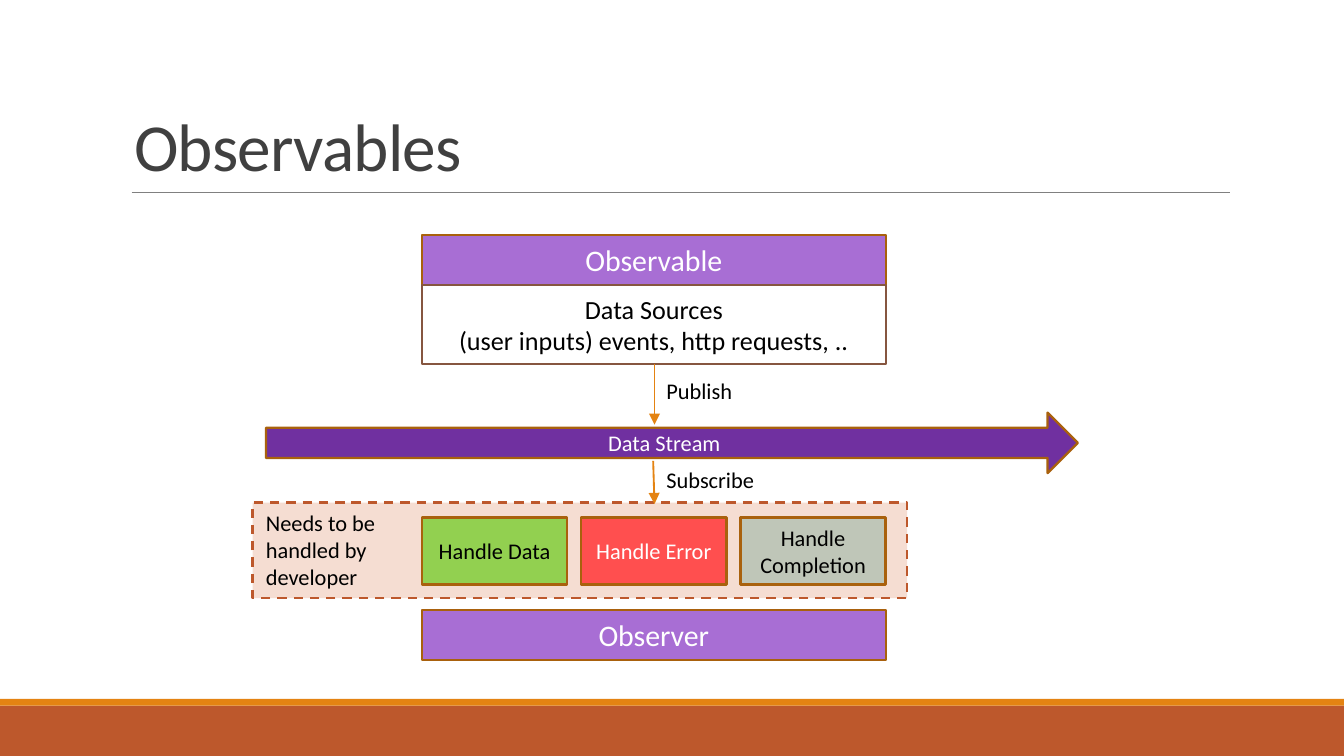
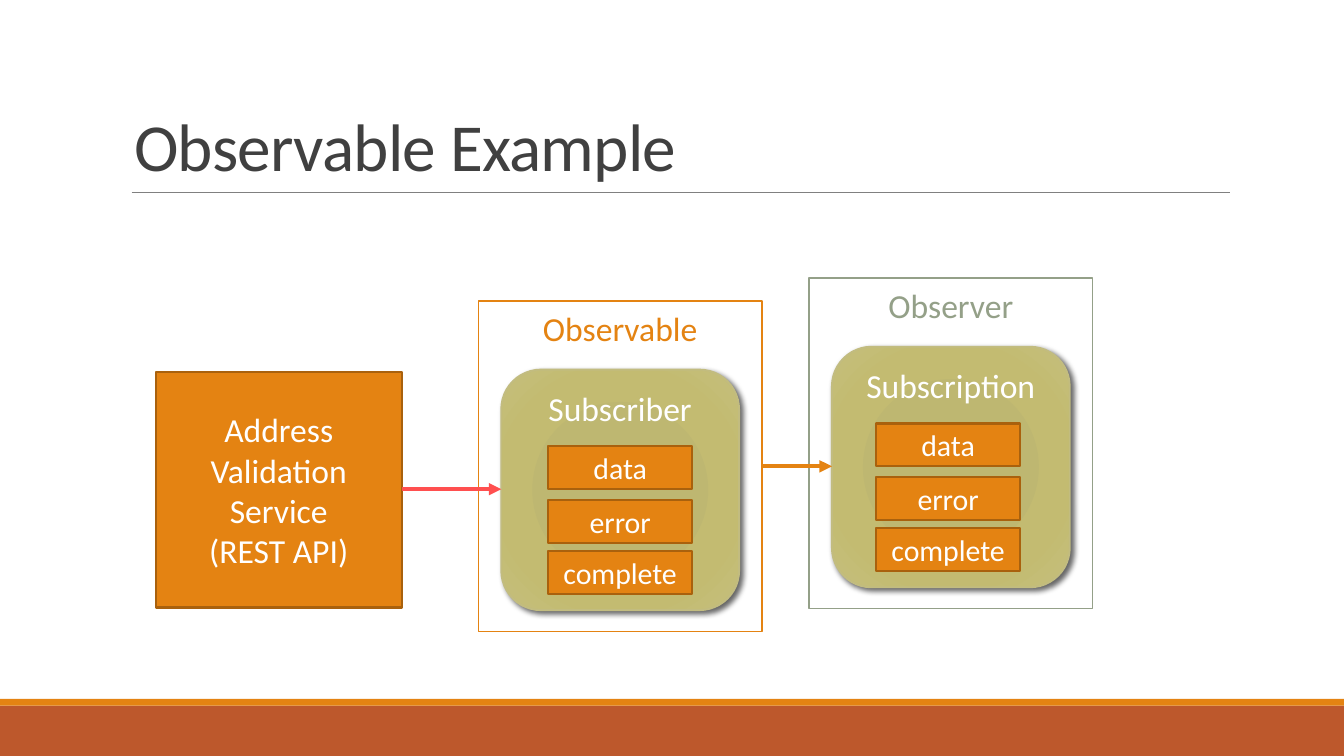
"""Build two slides that explain observables."""
import dataclasses
import pptx
import pptx.util
import pptx.dml.color
import pptx.enum.dml
import pptx.enum.shapes
import pptx.enum.text
import pptx.oxml
import pptx.oxml.ns

Inches, Pt = pptx.util.Inches, pptx.util.Pt
RGB = pptx.dml.color.RGBColor.from_string
Kind = pptx.enum.shapes.MSO_SHAPE
Dash = pptx.enum.dml.MSO_LINE
Anchor = pptx.enum.text.MSO_ANCHOR
Align = pptx.enum.text.PP_ALIGN
Fit = pptx.enum.text.MSO_AUTO_SIZE
qn = pptx.oxml.ns.qn
NS = pptx.oxml.ns.nsdecls("a")


@dataclasses.dataclass(frozen=True)
class Theme:
    font: str = "Calibri"
    white: str = "FFFFFF"
    black: str = "000000"
    ink: str = "404040"
    rule: str = "808080"
    rust: str = "BD582C"
    orange: str = "E48312"
    edge: str = "A9610D"
    brown: str = "865640"
    peach: str = "F5DDD2"
    lilac: str = "A86ED4"
    purple: str = "7030A0"
    green: str = "92D050"
    red: str = "FF4F4F"
    gray: str = "BFC6B8"
    sage: str = "94A088"
    olive: str = "C2BC80"
    glow: tuple = ((0, "BEB76E"), (34, "BEB771"), (70, "C3BB71"), (100, "C5BF7D"))
    title: int = 36
    large: int = 18
    head: int = 16
    body: int = 14
    small: int = 12


T = Theme()


def box(slide, text, x, y, w, h, kind=Kind.RECTANGLE, fill=None, edge=None, width=1.25,
        size=T.small, color=T.white, anchor=Anchor.MIDDLE, align=Align.CENTER, wrap=True):
    place = [Inches(v) for v in (x, y, w, h)]
    if kind is None:
        shape = slide.shapes.add_textbox(*place)
    else:
        shape = slide.shapes.add_shape(kind, *place)
        shape.shadow.inherit = False
        if fill:
            shape.fill.solid()
            shape.fill.fore_color.rgb = RGB(fill)
        else:
            shape.fill.background()
        if edge:
            shape.line.color.rgb = RGB(edge)
            shape.line.width = Pt(width)
        else:
            shape.line.fill.background()
    frame = shape.text_frame
    frame.word_wrap = wrap
    frame.vertical_anchor = anchor
    if not wrap:
        frame.auto_size = Fit.SHAPE_TO_FIT_TEXT
    frame.text = text
    for para in frame.paragraphs:
        para.alignment = align
        for run in para.runs:
            run.font.name = T.font
            run.font.size = Pt(size)
            run.font.color.rgb = RGB(color)
    return shape


def link(slide, x1, y1, x2, y2, color, width, arrow=True):
    line = slide.shapes.add_connector(
        pptx.enum.shapes.MSO_CONNECTOR.STRAIGHT, *[Inches(v) for v in (x1, y1, x2, y2)])
    line.line.color.rgb = RGB(color)
    line.line.width = Pt(width)
    if arrow:
        line.line._get_or_add_ln().append(
            pptx.oxml.parse_xml(f'<a:tailEnd {NS} type="triangle"/>'))
    line._element.spPr.append(pptx.oxml.parse_xml(f"<a:effectLst {NS}/>"))


deck = pptx.Presentation()
deck.slide_width, deck.slide_height = Inches(10), Inches(5.625)

for name in ("Observables", "Observable Example"):
    slide = deck.slides.add_slide(deck.slide_layouts[6])
    box(slide, "", 0, 5.25, 10, 0.38, fill=T.rust)
    box(slide, "", 0, 5.2, 10, 0.05, fill=T.orange)
    link(slide, 0.98, 1.43, 9.15, 1.43, T.rule, 0.5, arrow=False)
    title = box(slide, name, 0.9, 0.24, 8.25, 1.19, kind=None, size=T.title,
                color=T.ink, anchor=Anchor.BOTTOM, align=Align.LEFT)
    para = title.text_frame.paragraphs[0]
    para.line_spacing = 0.85
    para.runs[0].font._element.set("spc", "-40")

flow, case = deck.slides

note = box(flow, "Needs to be\nhandled by\ndeveloper", 1.88, 3.74, 4.87, 0.71, fill=T.peach,
           edge=T.rust, color=T.black, anchor=Anchor.TOP, align=Align.LEFT)
note.line.dash_style = Dash.DASH
for text, y in (("Observable", 1.75), ("Observer", 4.54)):
    box(flow, text, 3.14, y, 3.45, 0.37, fill=T.lilac, edge=T.edge, size=T.head)
box(flow, "Data Sources\n(user inputs) events, http requests, ..", 3.14, 2.12, 3.45, 0.59,
    fill=T.white, edge=T.brown, size=T.body, color=T.black)
box(flow, "Data Stream", 1.98, 3.07, 6.04, 0.45, kind=Kind.RIGHT_ARROW,
    fill=T.purple, edge=T.edge)
tasks = (("Handle Data", T.green, T.black), ("Handle Error", T.red, T.white),
         ("Handle Completion", T.gray, T.black))
for i, (text, fill, color) in enumerate(tasks):
    box(flow, text, 3.14 + i * 1.185, 3.85, 1.08, 0.5, fill=fill, edge=T.edge, color=color)
steps = (("Publish", 2.76, 0.7, 4.87, 2.71, 3.16), ("Subscribe", 3.42, 0.86, 4.86, 3.43, 3.75))
for text, y, w, x, top, end in steps:
    link(flow, x, top, 4.87, end, T.orange, 1)
    box(flow, text, 4.86, y, w, 0.3, kind=None, color=T.black,
        anchor=Anchor.TOP, align=Align.LEFT, wrap=False)

box(case, "Address Validation Service\n(REST API)", 1.16, 2.77, 1.83, 1.75,
    fill=T.orange, edge=T.edge, size=T.large)
stops = "".join(f'<a:gs pos="{pos * 1000}"><a:srgbClr val="{color}"/></a:gs>'
                for pos, color in T.glow)
glow = (f'<a:gradFill {NS} rotWithShape="1"><a:gsLst>{stops}</a:gsLst><a:path path="circle">'
        '<a:fillToRect l="100000" t="100000" r="100000" b="100000"/></a:path></a:gradFill>')
shade = (f'<a:outerShdw {NS} blurRad="{Pt(3)}" dist="{Pt(2)}" dir="2700000" rotWithShape="0">'
         f'<a:srgbClr val="{T.black}"><a:alpha val="60000"/></a:srgbClr></a:outerShdw>')
panels = (("Observable", "Subscriber", 3.56, 2.24, T.orange, 4.08),
          ("Observer", "Subscription", 6.02, 2.07, T.sage, 6.52))
for text, inner, x, y, color, left in panels:
    box(case, text, x, y, 2.11, 2.46, edge=color, width=0.75, size=T.large,
        color=color, anchor=Anchor.TOP)
    card = box(case, inner, x + 0.17, y + 0.51, 1.77, 1.79, kind=Kind.ROUNDED_RECTANGLE,
               fill=T.olive, edge=T.olive, width=1, size=T.large, anchor=Anchor.TOP)
    props = card._element.spPr
    props.replace(props.find(qn("a:solidFill")), pptx.oxml.parse_xml(glow))
    props.find(qn("a:effectLst")).append(pptx.oxml.parse_xml(shade))
    for item, drop in (("data", 1.08), ("error", 1.48), ("complete", 1.86)):
        box(case, item, left, y + drop, 1.07, 0.32, fill=T.orange, edge=T.edge, size=T.head)
link(case, 2.99, 3.64, 3.73, 3.64, T.red, 2.25)
link(case, 5.67, 3.47, 6.19, 3.47, T.orange, 2.25)

deck.save("out.pptx")
